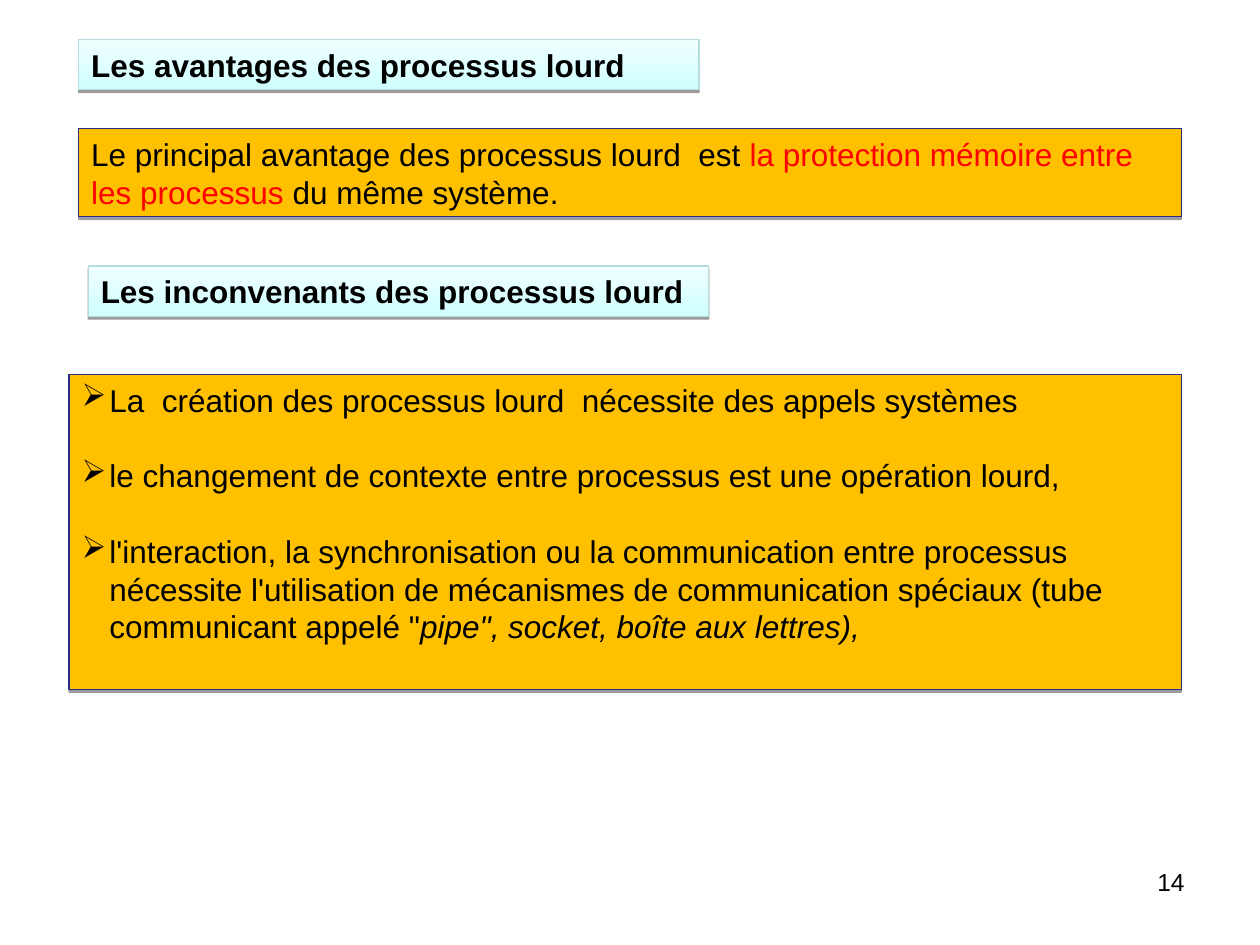
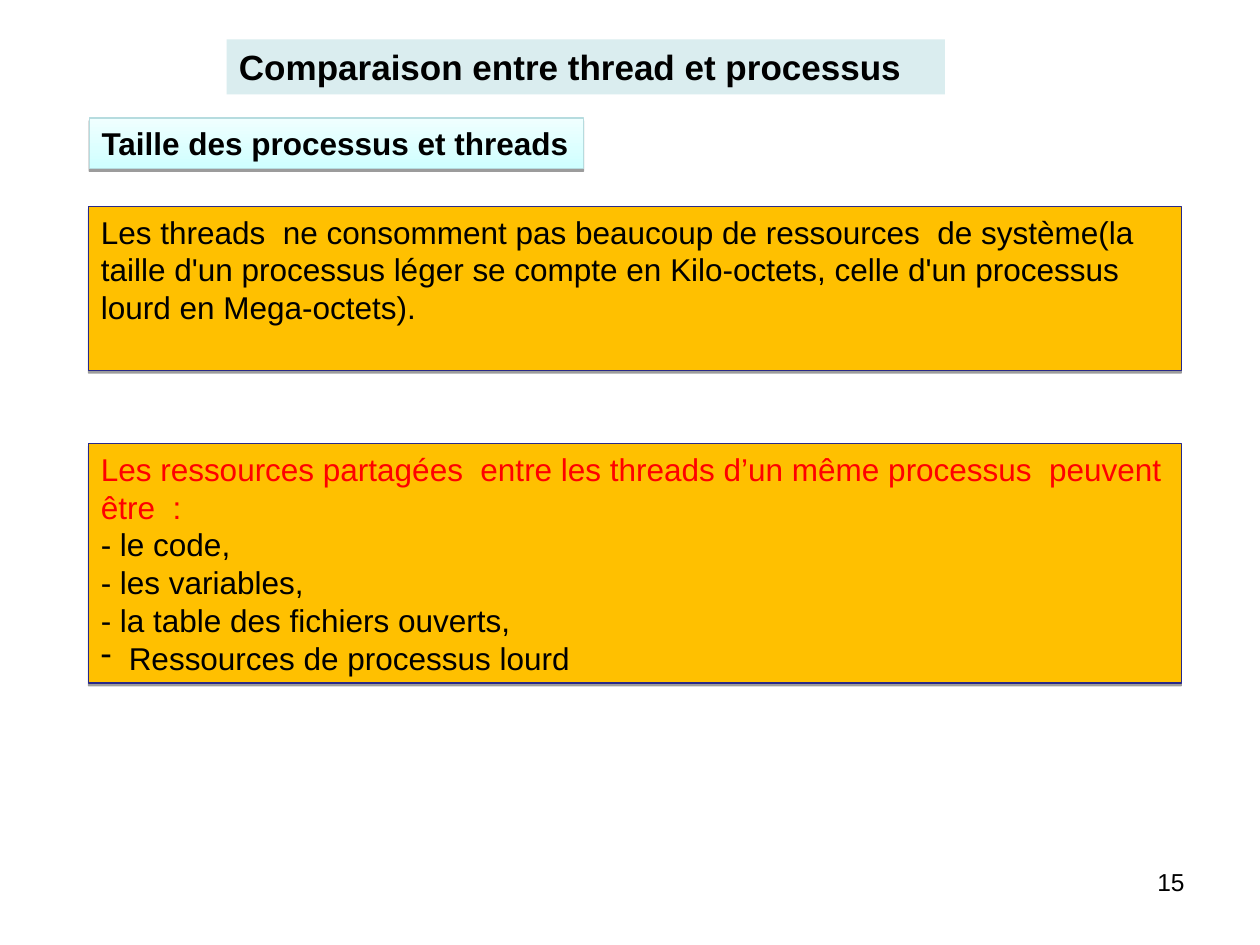
import pptx
import pptx.util
import pptx.dml.color
import pptx.enum.shapes
import pptx.enum.text
import pptx.oxml
import pptx.oxml.ns
from lxml import etree

Pt = pptx.util.Pt
RGBColor = pptx.dml.color.RGBColor

BLACK = RGBColor(0x00, 0x00, 0x00)
RED = RGBColor(0xFF, 0x00, 0x00)
AMBER = RGBColor(0xFF, 0xC0, 0x00)
NAVY = RGBColor(0x29, 0x29, 0x89)
AQUA = RGBColor(0xCF, 0xFF, 0xFF)
PALE_AQUA = RGBColor(0xF0, 0xFF, 0xFF)
AQUA_EDGE = RGBColor(0xB6, 0xDC, 0xDF)
TITLE_BAND = RGBColor(0xDA, 0xED, 0xEF)

FONT = "Arial"
BODY_SIZE = 18
TITLE_SIZE = 20
NUMBER_SIZE = 14
LINE_HEIGHT = 1.2
BULLET_INDENT = 16
BODY_RIGHT = 675
HEADING_HEIGHT = 28.8
TOP = 22.5

SHADOW = (
    f'<a:effectLst {pptx.oxml.ns.nsdecls("a")}>'
    '<a:outerShdw blurRad="0" dist="20320" dir="5400000" rotWithShape="0">'
    '<a:srgbClr val="000000"><a:alpha val="38000"/></a:srgbClr>'
    '</a:outerShdw></a:effectLst>'
)


class SlideWriter:
    """Holds the deck, its style and the slide being filled."""

    def __init__(self):
        self.deck = pptx.Presentation()
        self.deck.slide_width = Pt(720)
        self.deck.slide_height = Pt(540)
        self.slide = None

    def new_slide(self, number):
        self.slide = self.deck.slides.add_slide(self.deck.slide_layouts[6])
        box = self.slide.shapes.add_textbox(Pt(516), Pt(492), Pt(168), Pt(37.5))
        box.text_frame.word_wrap = True
        para = self.paragraph(box, [(str(number), BLACK)], NUMBER_SIZE)
        para.alignment = pptx.enum.text.PP_ALIGN.RIGHT

    def rectangle(self, left, top, width, height, edge=None):
        """Add a box; one with an edge colour also casts a shadow."""
        box = self.slide.shapes.add_shape(
            pptx.enum.shapes.MSO_SHAPE.RECTANGLE,
            Pt(left), Pt(top), Pt(width), Pt(height))
        box.text_frame.word_wrap = True
        box.text_frame.vertical_anchor = pptx.enum.text.MSO_ANCHOR.TOP
        box.shadow.inherit = False
        if edge is None:
            box.line.fill.background()
        else:
            box.line.color.rgb = edge
            box.line.width = Pt(0.75)
            effects = box._element.spPr.find(pptx.oxml.ns.qn("a:effectLst"))
            effects.getparent().replace(effects, pptx.oxml.parse_xml(SHADOW))
        return box

    def paragraph(self, box, spans, size, bold=False, bullet=None, gap=0):
        """Write (text, colour[, italic]) spans, in the first paragraph if it is free."""
        frame = box.text_frame
        para = frame.paragraphs[0]
        if para.runs:
            para = frame.add_paragraph()
            para.space_before = Pt(gap)
        para.alignment = pptx.enum.text.PP_ALIGN.LEFT
        para.line_spacing = Pt(size * LINE_HEIGHT)
        if bullet:
            self.bullet(para, bullet)
        para.font.name = FONT
        para.font.size = Pt(size)
        para.font.bold = bold
        for text, colour, *italic in spans:
            span = para.add_run()
            span.text = text
            span.font.color.rgb = colour
            if italic:
                span.font.italic = True
        return para

    def bullet(self, para, mark):
        properties = para._p.get_or_add_pPr()
        properties.set("marL", str(Pt(BULLET_INDENT)))
        properties.set("indent", str(-Pt(BULLET_INDENT)))
        element = etree.SubElement(properties, pptx.oxml.ns.qn("a:buChar"))
        element.set("char", mark)

    def title(self, text):
        box = self.rectangle(129.5, TOP, 410.5, 31.5)
        box.fill.solid()
        box.fill.fore_color.rgb = TITLE_BAND
        self.paragraph(box, [(text, BLACK)], TITLE_SIZE, bold=True)

    def heading(self, text, left, top, width=354.5):
        box = self.rectangle(left, top, width, HEADING_HEIGHT, AQUA_EDGE)
        box.fill.gradient()
        box.fill.gradient_angle = 90
        for stop, colour in zip(box.fill.gradient_stops, (AQUA, PALE_AQUA)):
            stop.color.rgb = colour
        self.paragraph(box, [(text, BLACK)], BODY_SIZE, bold=True)

    def body(self, left, top, height, paragraphs, gap=0):
        """Add an amber box reaching the right margin, from (spans, bullet) pairs."""
        box = self.rectangle(left, top, BODY_RIGHT - left, height, NAVY)
        box.fill.solid()
        box.fill.fore_color.rgb = AMBER
        for spans, bullet in paragraphs:
            self.paragraph(box, spans, BODY_SIZE, bullet=bullet, gap=gap)


def heavy_process_slide(writer):
    writer.new_slide(14)
    writer.heading("Les avantages des processus lourd", 45, TOP)
    writer.body(45, 73.5, 50.4, [
        ([("Le principal avantage des processus lourd  est ", BLACK),
          ("la protection mémoire entre les processus ", RED),
          ("du même système.", BLACK)], None),
    ])
    writer.heading("Les inconvenants des processus lourd", 50.5, 152)
    drawbacks = [
        [("La  création des processus lourd  nécessite des appels systèmes", BLACK)],
        [("le changement de contexte entre processus est une opération lourd,", BLACK)],
        [("l'interaction, la synchronisation ou la communication entre processus "
          "nécessite l'utilisation de mécanismes de communication spéciaux "
          "(tube communicant appelé \"", BLACK),
         ("pipe\", socket, boîte aux lettres),", BLACK, True)],
    ]
    writer.body(39.5, 214, 180, [(spans, "➢") for spans in drawbacks],
                gap=BODY_SIZE * LINE_HEIGHT)


def comparison_slide(writer):
    writer.new_slide(15)
    writer.title("Comparaison entre thread et processus")
    writer.heading("Taille des processus et threads", 51, 67.5, 282.5)
    writer.body(50.5, 118, 93.6, [
        ([("Les threads  ne consomment pas beaucoup de ressources  de système(la "
           "taille d'un processus léger se compte en Kilo-octets, celle d'un "
           "processus lourd en Mega-octets).", BLACK)], None),
    ])
    writer.body(50.5, 253.5, 136.8, [
        ([("Les ressources partagées  entre les threads d’un même processus  "
           "peuvent être  :", RED)], None),
        ([("- le code,", BLACK)], None),
        ([("- les variables,", BLACK)], None),
        ([("- la table des fichiers ouverts,", BLACK)], None),
        ([("Ressources de processus lourd", BLACK)], "-"),
    ])


def main():
    writer = SlideWriter()
    heavy_process_slide(writer)
    comparison_slide(writer)
    writer.deck.save("out.pptx")


if __name__ == "__main__":
    main()
